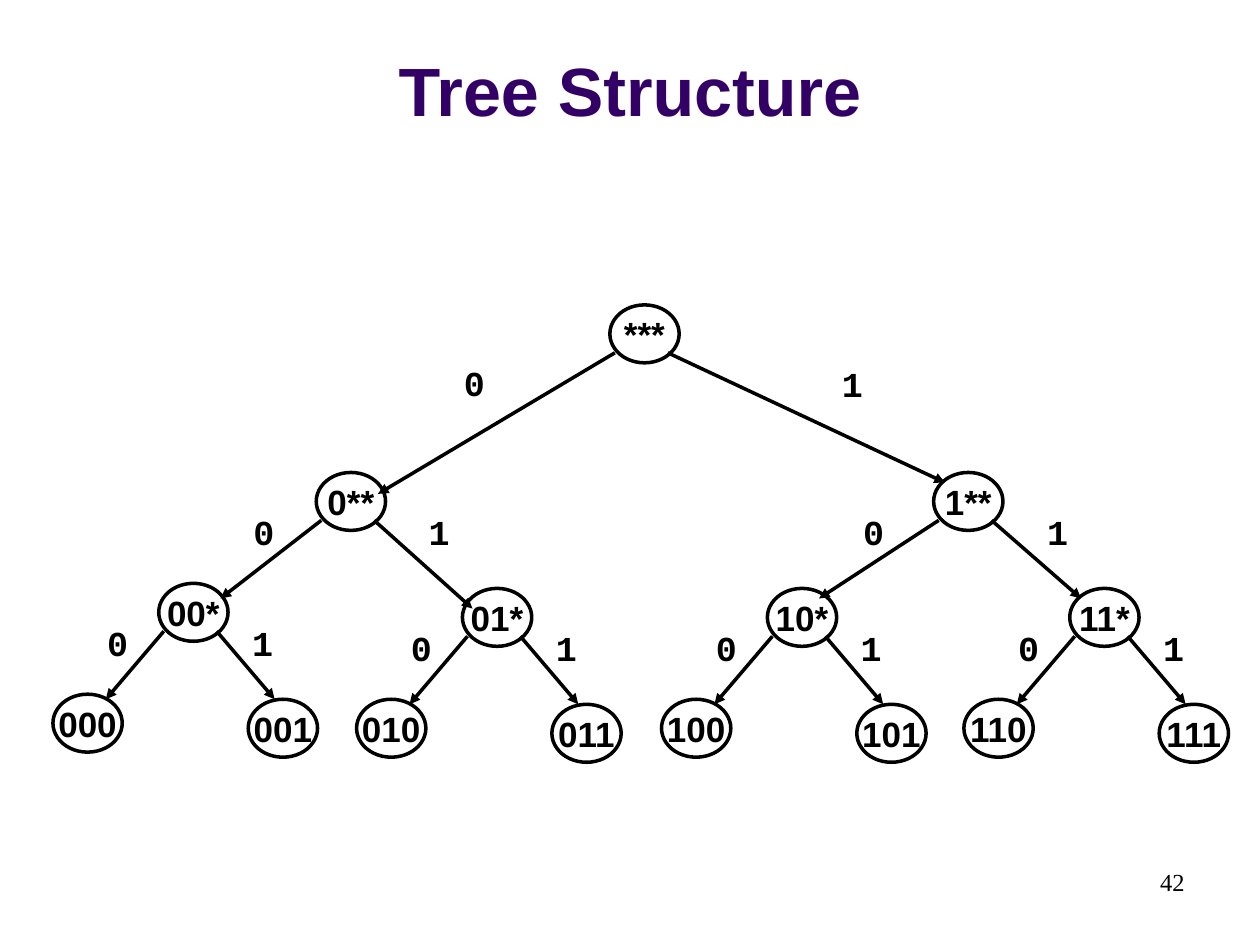
from lxml import etree
from pptx import Presentation
from pptx.dml.color import RGBColor
from pptx.enum import shapes, text
from pptx.oxml.ns import qn
from pptx.util import Inches, Pt

BLACK = RGBColor(0x00, 0x00, 0x00)
WHITE = RGBColor(0xFF, 0xFF, 0xFF)
PURPLE = RGBColor(0x33, 0x00, 0x66)

NODE_W, NODE_H = 0.55, 0.46
LABEL_W, LABEL_H = 0.53, 0.43

# Where the two edges leave a node, relative to its top left corner
EDGE_STARTS = ((0.04, 0.38), (0.46, 0.38))

# Lower subtrees: prefix and top left corner of the parent node
SUBTREES = (("00", 1.26, 4.63), ("01", 3.67, 4.67), ("11", 8.49, 4.67), ("10", 6.09, 4.67))
LEAF_OFFSETS = ((-0.84, 0.88), (0.71, 0.92))
LEAF_ENDS = ((-0.42, 0.92), (0.92, 0.92))
LEAF_LABELS = ((-0.59, 0.25), (0.56, 0.25))

# Upper nodes: name, corner, ends of the 0 and 1 edges, corners of their labels
BRANCHES = (
    ("0**", 2.51, 3.75, ((1.75, 4.75), (3.75, 4.83)), ((1.83, 4.0), (3.22, 4.0))),
    ("1**", 7.41, 3.75, ((6.5, 4.75), (8.58, 4.75)), ((6.67, 4.0), (8.13, 4.0))),
    ("***", 4.84, 2.42, ((3.0, 3.92), (7.5, 3.83)), ((3.5, 2.82), (6.5, 2.83))),
)


def write(shape, words, font="Arial", size=20, color=BLACK, bold=True,
          align=text.PP_ALIGN.CENTER, anchor=text.MSO_ANCHOR.TOP, wrap=True):
    frame = shape.text_frame
    frame.word_wrap = wrap
    frame.vertical_anchor = anchor
    paragraph = frame.paragraphs[0]
    paragraph.alignment = align
    run = paragraph.add_run()
    run.text = words
    run.font.name = font
    run.font.size = Pt(size)
    run.font.bold = bold
    run.font.color.rgb = color


def add_node(slide, name, x, y):
    node = slide.shapes.add_shape(shapes.MSO_SHAPE.OVAL, Inches(x), Inches(y),
                                  Inches(NODE_W), Inches(NODE_H))
    node.shadow.inherit = False
    node.fill.solid()
    node.fill.fore_color.rgb = WHITE
    node.line.color.rgb = BLACK
    node.line.width = Pt(2)
    write(node, name, anchor=text.MSO_ANCHOR.MIDDLE, wrap=False)


def add_edge(slide, start, end):
    edge = slide.shapes.add_connector(shapes.MSO_CONNECTOR.STRAIGHT,
                                      *(Inches(v) for v in (*start, *end)))
    edge.line.color.rgb = BLACK
    edge.line.width = Pt(2)
    # Arrowhead, and no shadow
    etree.SubElement(edge.line._get_or_add_ln(), qn("a:tailEnd"), type="triangle")
    etree.SubElement(edge._element.spPr, qn("a:effectLst"))


def add_branch(slide, name, x, y, ends, labels):
    """A node with its 0 and 1 edges and their labels."""
    add_node(slide, name, x, y)
    for bit, (dx, dy), end, (left, top) in zip("01", EDGE_STARTS, ends, labels):
        add_edge(slide, (x + dx, y + dy), end)
        label = slide.shapes.add_textbox(Inches(left), Inches(top),
                                         Inches(LABEL_W), Inches(LABEL_H))
        write(label, bit, font="Courier New")


def add_subtree(slide, prefix, x, y):
    """A parent node with two leaves."""
    def shifted(offsets):
        return [(x + dx, y + dy) for dx, dy in offsets]

    for bit, leaf in zip("01", shifted(LEAF_OFFSETS)):
        add_node(slide, prefix + bit, *leaf)
    add_branch(slide, prefix + "*", x, y, shifted(LEAF_ENDS), shifted(LEAF_LABELS))


def add_title(slide, words, x, y, w, h):
    title = slide.shapes.title
    title.left, title.top, title.width, title.height = map(Inches, (x, y, w, h))
    write(title, words, size=39, color=PURPLE, anchor=text.MSO_ANCHOR.BOTTOM)


def add_page_number(slide, number, x, y, w, h):
    page = slide.shapes.add_textbox(*map(Inches, (x, y, w, h)))
    write(page, number, font="Times New Roman", size=14, bold=False,
          align=text.PP_ALIGN.RIGHT)


def main():
    prs = Presentation()
    prs.slide_width, prs.slide_height = Inches(10), Inches(7.5)
    slide = prs.slides.add_slide(prs.slide_layouts[5])

    add_title(slide, "Tree Structure", 0, 0.13, 10, 0.95)
    add_page_number(slide, "42", 7.17, 6.83, 2.33, 0.5)

    # Lower levels first, so that the upper arrowheads lie over their nodes
    for subtree in SUBTREES:
        add_subtree(slide, *subtree)
    for branch in BRANCHES:
        add_branch(slide, *branch)

    prs.save("out.pptx")


if __name__ == "__main__":
    main()
